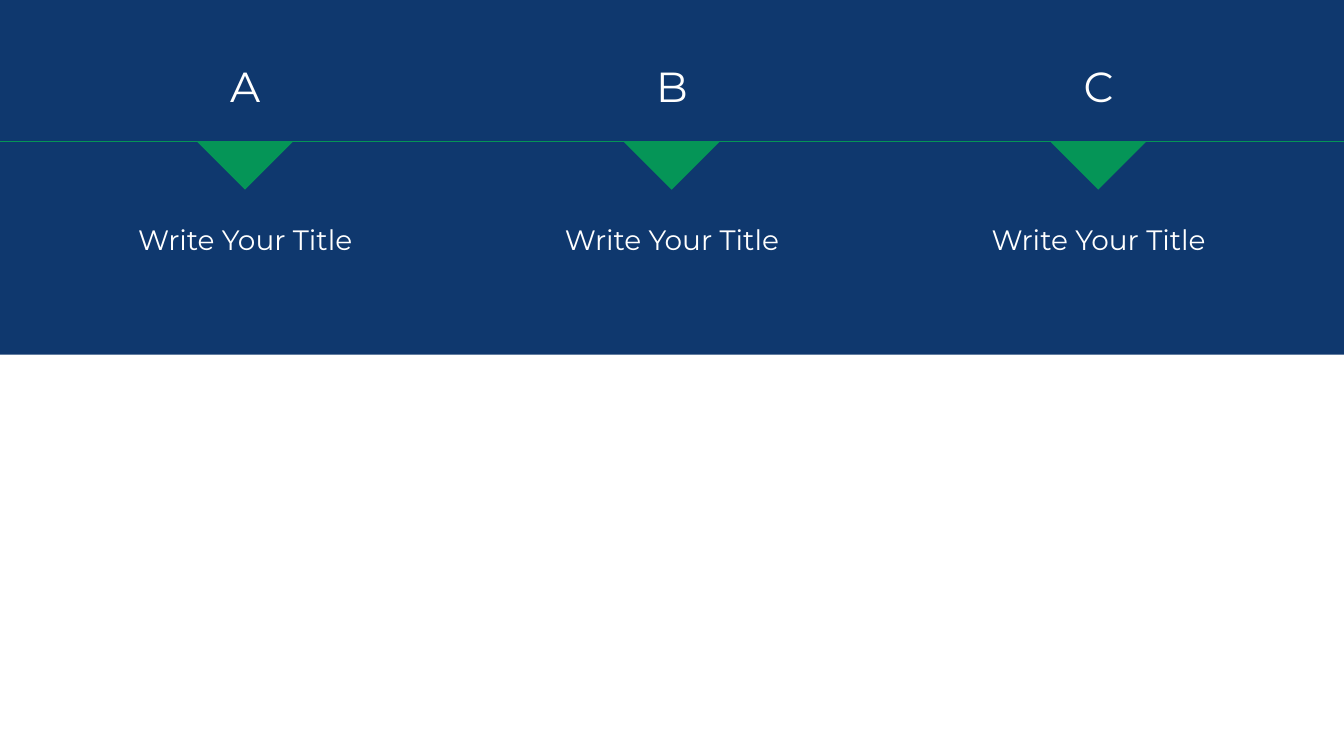
from dataclasses import dataclass

from lxml.etree import SubElement
from pptx import Presentation
from pptx.dml.color import RGBColor
from pptx.enum.shapes import MSO_AUTO_SHAPE_TYPE, MSO_CONNECTOR
from pptx.enum.text import MSO_AUTO_SIZE, PP_ALIGN
from pptx.oxml.ns import qn
from pptx.shapes.autoshape import Shape
from pptx.shapes.shapetree import SlideShapes
from pptx.util import Cm, Pt


@dataclass(frozen=True)
class Theme:
    navy: RGBColor = RGBColor(0x0F, 0x38, 0x6E)
    green: RGBColor = RGBColor(0x05, 0x95, 0x57)
    white: RGBColor = RGBColor(0xFF, 0xFF, 0xFF)
    font: str = "Montserrat"
    letter_size: int = 60
    title_size: int = 40
    rule_width: float = 0.5


@dataclass(frozen=True)
class Column:
    letter: str
    title: str
    center: float


THEME = Theme()
WIDTH, HEIGHT = 67.72, 38.1
BAND_HEIGHT = 17.88
RULE_Y = 7.11
PITCH = 21.5
COLUMNS = [
    Column(letter, "Write Your Title", WIDTH / 2 + (index - 1) * PITCH)
    for index, letter in enumerate("ABC")
]


def add_solid(shapes: SlideShapes, kind: MSO_AUTO_SHAPE_TYPE, left: float, top: float,
              width: float, height: float, color: RGBColor) -> Shape:
    solid = shapes.add_shape(kind, Cm(left), Cm(top), Cm(width), Cm(height))
    solid.shadow.inherit = False
    solid.fill.solid()
    solid.fill.fore_color.rgb = color
    solid.line.fill.background()
    return solid


def add_label(shapes: SlideShapes, text: str, center: float, top: float,
              width: float, height: float, size: int) -> None:
    label = shapes.add_textbox(Cm(center - width / 2), Cm(top), Cm(width), Cm(height))
    frame = label.text_frame
    frame.word_wrap = True
    frame.auto_size = MSO_AUTO_SIZE.SHAPE_TO_FIT_TEXT
    paragraph = frame.paragraphs[0]
    paragraph.text = text
    paragraph.alignment = PP_ALIGN.CENTER
    paragraph.font.name = THEME.font
    paragraph.font.size = Pt(size)
    paragraph.font.color.rgb = THEME.white


def add_column(shapes: SlideShapes, column: Column) -> None:
    width, height = 3.43, 3.38
    pointer = add_solid(shapes, MSO_AUTO_SHAPE_TYPE.RIGHT_TRIANGLE, column.center - width / 2,
                        5.46, width, height, THEME.green)
    pointer.rotation = 315
    add_label(shapes, column.letter, column.center, 2.9, 3.96, 2.82, THEME.letter_size)
    add_label(shapes, column.title, column.center, 11.1, 13.51, 1.96, THEME.title_size)


def add_rule(shapes: SlideShapes) -> None:
    rule = shapes.add_connector(MSO_CONNECTOR.STRAIGHT, Cm(0), Cm(RULE_Y), Cm(WIDTH), Cm(RULE_Y))
    rule.line.color.rgb = THEME.green
    rule.line.width = Pt(THEME.rule_width)
    SubElement(rule._element.spPr, qn("a:effectLst"))


def main() -> None:
    """Build the slide with three lettered columns on a navy band."""
    deck = Presentation()
    deck.slide_width, deck.slide_height = Cm(WIDTH), Cm(HEIGHT)
    shapes = deck.slides.add_slide(deck.slide_layouts[6]).shapes
    add_solid(shapes, MSO_AUTO_SHAPE_TYPE.RECTANGLE, 0, 0, WIDTH, BAND_HEIGHT, THEME.navy)
    for column in COLUMNS:
        add_column(shapes, column)
    add_rule(shapes)
    deck.save("out.pptx")


if __name__ == "__main__":
    main()
